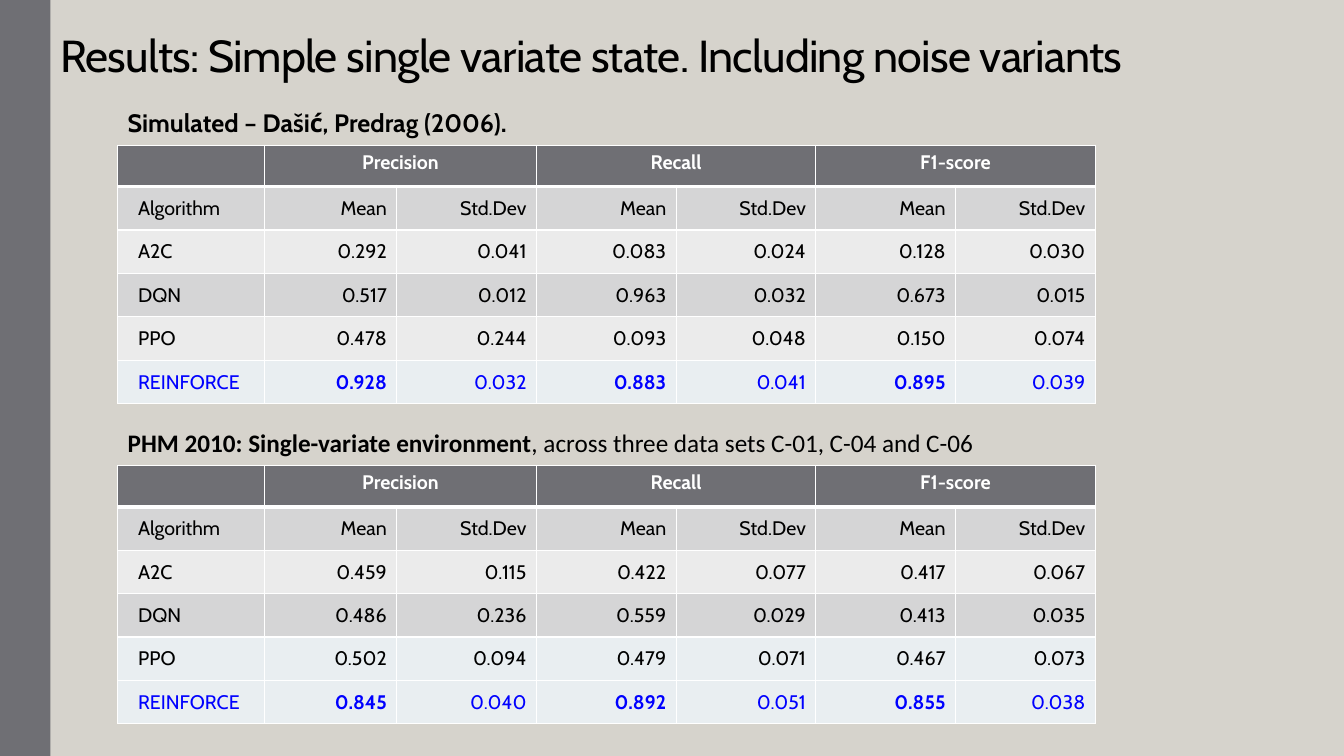
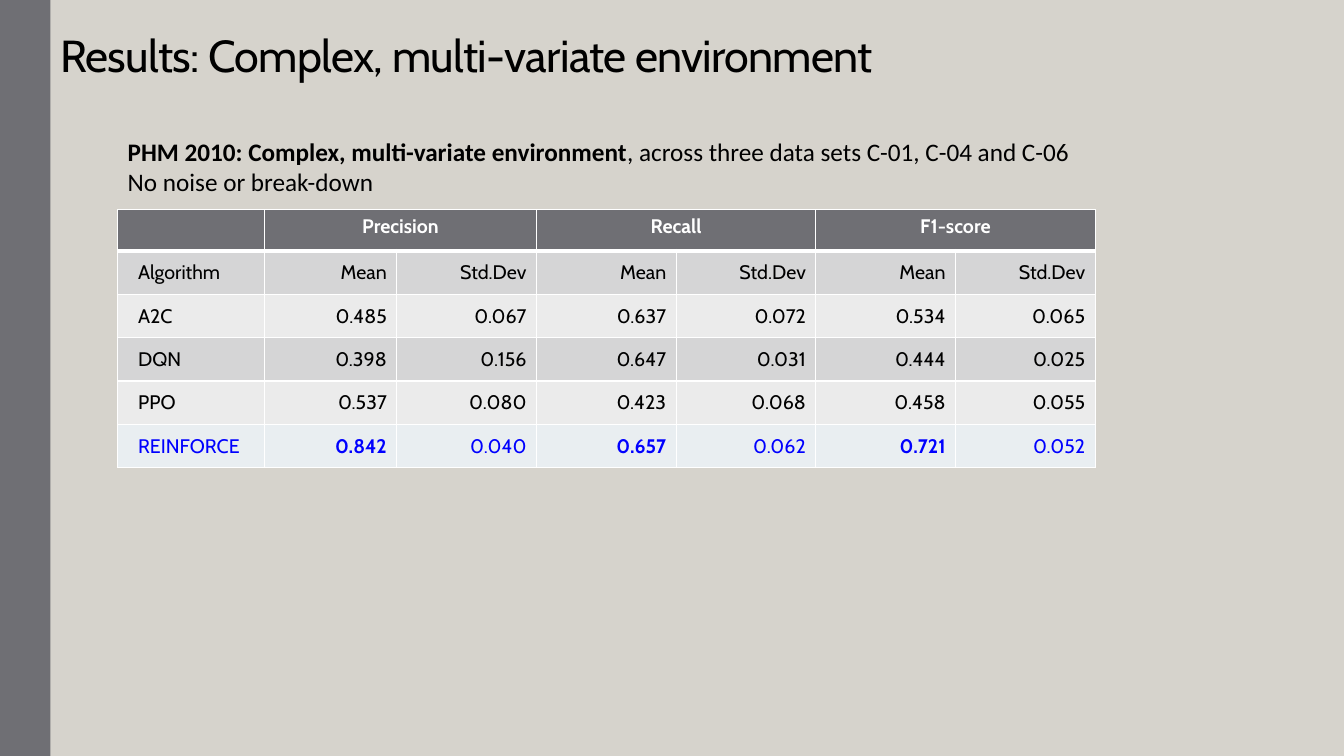
from lxml import etree
from pptx import Presentation
from pptx.dml.color import RGBColor
from pptx.enum.shapes import MSO_SHAPE
from pptx.enum.text import MSO_ANCHOR, PP_ALIGN
from pptx.oxml.ns import qn
from pptx.util import Cm, Pt

RECTANGLE = MSO_SHAPE.RECTANGLE
BOTTOM = MSO_ANCHOR.BOTTOM
LEFT, CENTER, RIGHT = PP_ALIGN.LEFT, PP_ALIGN.CENTER, PP_ALIGN.RIGHT

BACKDROP = RGBColor(0xD6, 0xD3, 0xCC)
SLATE = RGBColor(0x6F, 0x6F, 0x74)
DARK_BAND = RGBColor(0xD5, 0xD5, 0xD6)
LIGHT_BAND = RGBColor(0xEB, 0xEB, 0xEB)
HIGHLIGHT = RGBColor(0xE9, 0xEE, 0xF1)
BLACK = RGBColor(0, 0, 0)
WHITE = RGBColor(0xFF, 0xFF, 0xFF)
BLUE = RGBColor(0, 0, 0xFF)

HEADING_FONT = "Cabin"
BODY_FONT = "Calibri"

SLIDE_WIDTH, SLIDE_HEIGHT = Cm(33.87), Cm(19.05)
SIDEBAR_WIDTH = Cm(1.27)
CONTENT_LEFT = Cm(2.97)
COLUMN_WIDTHS = [Cm(3.7), Cm(3.33)] + [Cm(3.52)] * 5
ROW_HEIGHT = Cm(1.04)
CELL_MARGIN = Cm(0.25)
LABEL_MARGIN = Cm(0.51)

METRICS = ("Precision", "Recall", "F1-score")
SUBHEADINGS = ["Algorithm"] + ["Mean", "Std.Dev"] * len(METRICS)
BEST = "REINFORCE"

SIMULATED = {
    "A2C": (0.292, 0.041, 0.083, 0.024, 0.128, 0.030),
    "DQN": (0.517, 0.012, 0.963, 0.032, 0.673, 0.015),
    "PPO": (0.478, 0.244, 0.093, 0.048, 0.150, 0.074),
    BEST: (0.928, 0.032, 0.883, 0.041, 0.895, 0.039),
}
SINGLE_VARIATE = {
    "A2C": (0.459, 0.115, 0.422, 0.077, 0.417, 0.067),
    "DQN": (0.486, 0.236, 0.559, 0.029, 0.413, 0.035),
    "PPO": (0.502, 0.094, 0.479, 0.071, 0.467, 0.073),
    BEST: (0.845, 0.040, 0.892, 0.051, 0.855, 0.038),
}
MULTI_VARIATE = {
    "A2C": (0.485, 0.067, 0.637, 0.072, 0.534, 0.065),
    "DQN": (0.398, 0.156, 0.647, 0.031, 0.444, 0.025),
    "PPO": (0.537, 0.080, 0.423, 0.068, 0.458, 0.055),
    BEST: (0.842, 0.040, 0.657, 0.062, 0.721, 0.052),
}
DATA_SETS = ", across three data sets C-01, C-04 and C-06"


def set_font(paragraph, name, size, color, bold=None):
    font = paragraph.font
    font.name, font.size, font.bold = name, Pt(size), bold
    font.color.rgb = color


def add_text_frame(page, left, top, width, height):
    frame = page.shapes.add_textbox(left, top, width, height).text_frame
    frame.word_wrap = True
    return frame


def add_page(deck, title):
    """Add a slide with the shared background, sidebar and title."""
    page = deck.slides.add_slide(deck.slide_layouts[6])
    page.background.fill.solid()
    page.background.fill.fore_color.rgb = BACKDROP

    frame = add_text_frame(page, SIDEBAR_WIDTH, 0, Cm(29.64), Cm(2.18))
    frame.vertical_anchor = BOTTOM
    para = frame.paragraphs[0]
    para.line_spacing = 0.85
    set_font(para, HEADING_FONT, 32, BLACK)
    span = para.add_run()
    span.text = title
    span._r.get_or_add_rPr().set("spc", "-50")

    sidebar = page.shapes.add_shape(RECTANGLE, 0, 0, SIDEBAR_WIDTH, SLIDE_HEIGHT)
    sidebar.shadow.inherit = False
    sidebar.fill.solid()
    sidebar.fill.fore_color.rgb = SLATE
    sidebar.line.fill.background()
    return page


def add_caption(page, top, lines, font_name=BODY_FONT):
    """Write lines, each a list of (text, bold) pairs, above a table."""
    frame = add_text_frame(page, CONTENT_LEFT, top, sum(COLUMN_WIDTHS),
                           Cm(1.02) if len(lines) == 1 else Cm(1.8))
    for index, line in enumerate(lines):
        para = frame.add_paragraph() if index else frame.paragraphs[0]
        set_font(para, font_name, 18, BLACK)
        for text, bold in line:
            span = para.add_run()
            span.text = text
            span.font.bold = bold


def set_borders(cell, top=1, bottom=1):
    """Draw white cell borders; widths are in points."""
    properties = cell._tc.get_or_add_tcPr()
    for side, width in (("L", 1), ("R", 1), ("T", top), ("B", bottom)):
        line = etree.SubElement(properties, qn(f"a:ln{side}"), w=str(Pt(width)))
        fill = etree.SubElement(line, qn("a:solidFill"))
        etree.SubElement(fill, qn("a:srgbClr"), val=str(WHITE))


def fill_cell(cell, color):
    cell.fill.solid()
    cell.fill.fore_color.rgb = color


def write_cell(cell, text, align, color, bold):
    cell.text = text
    para = cell.text_frame.paragraphs[0]
    para.alignment = align
    set_font(para, HEADING_FONT, 14, color, bold)


def write_header(table):
    for cell in table.rows[0].cells:
        set_borders(cell, bottom=3)
        fill_cell(cell, SLATE)
    for index, metric in enumerate(METRICS):
        column = 1 + 2 * index
        cell = table.cell(0, column)
        cell.merge(table.cell(0, column + 1))
        write_cell(cell, metric, CENTER, WHITE, True)


def write_row(table, row, texts, fill):
    best = texts[0] == BEST
    for column, text in enumerate(texts):
        cell = table.cell(row, column)
        set_borders(cell, top=3 if row == 1 else 1)
        fill_cell(cell, fill)
        cell.vertical_anchor = BOTTOM
        cell.margin_left = CELL_MARGIN if column else LABEL_MARGIN
        cell.margin_right = cell.margin_top = cell.margin_bottom = CELL_MARGIN
        write_cell(cell, text, RIGHT if column else LEFT,
                   BLUE if best else BLACK, best and column % 2 == 1)


def add_results(page, top, scores, highlighted=(BEST,)):
    row_count = len(scores) + 2
    table = page.shapes.add_table(
        row_count, len(COLUMN_WIDTHS), CONTENT_LEFT, top,
        sum(COLUMN_WIDTHS), ROW_HEIGHT * row_count).table
    table.first_row = table.horz_banding = False
    for column, width in zip(table.columns, COLUMN_WIDTHS):
        column.width = width
    for row in table.rows:
        row.height = ROW_HEIGHT

    write_header(table)
    body = [SUBHEADINGS]
    body += [[name] + [f"{value:.3f}" for value in values]
             for name, values in scores.items()]
    for row, texts in enumerate(body, start=1):
        band = DARK_BAND if row % 2 else LIGHT_BAND
        write_row(table, row, texts,
                  HIGHLIGHT if texts[0] in highlighted else band)


def main():
    deck = Presentation()
    deck.slide_width, deck.slide_height = SLIDE_WIDTH, SLIDE_HEIGHT

    page = add_page(
        deck, "Results: Simple single variate state. Including noise variants")
    add_results(page, Cm(3.66), SIMULATED)
    add_caption(page, Cm(2.57), [[("Simulated – Dašić, Predrag (2006).", True)]],
                HEADING_FONT)
    add_results(page, Cm(11.73), SINGLE_VARIATE, highlighted=("PPO", BEST))
    add_caption(page, Cm(10.64), [
        [("PHM 2010: Single-variate environment", True), (DATA_SETS, False)]])

    page = add_page(deck, "Results: Complex, multi-variate environment")
    add_results(page, Cm(5.28), MULTI_VARIATE)
    add_caption(page, Cm(3.3), [
        [("PHM 2010: Complex, multi-variate environment", True),
         (DATA_SETS, False)],
        [("No noise or break-down", False)]])

    deck.save("out.pptx")


if __name__ == "__main__":
    main()
